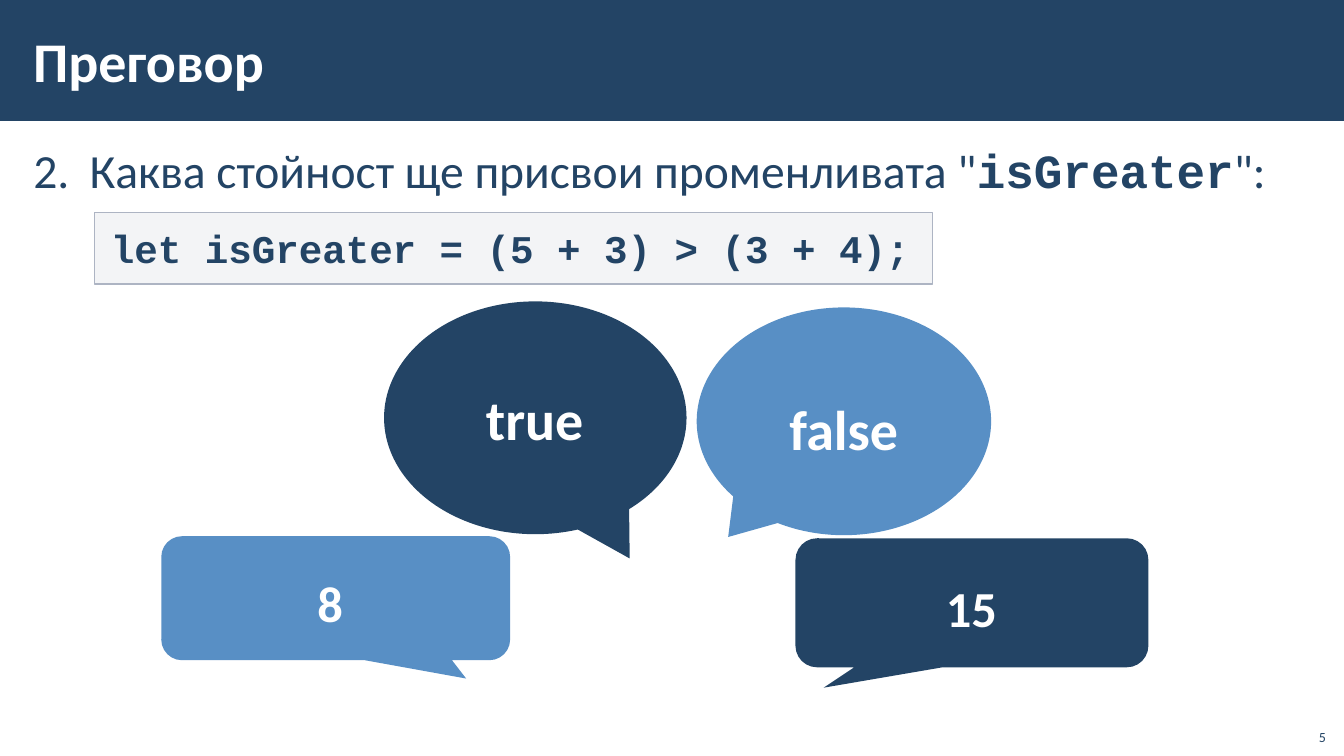
"""Build the review slide with a code question and four answer callouts."""
from lxml.etree import SubElement
from pptx import Presentation
from pptx.dml.color import RGBColor
from pptx.enum.shapes import MSO_SHAPE as SHAPE
from pptx.enum.text import MSO_ANCHOR as ANCHOR, PP_ALIGN as ALIGN
from pptx.oxml.ns import qn
from pptx.util import Inches, Pt

THEME = {
    "navy": "234465", "blue": "588FC5", "white": "FFFFFF",
    "code_fill": "F3F4F6", "code_line": "ADB4C3",
    "sans": "Calibri", "mono": "Courier New",
    "title": 40, "question": 34, "code": 28, "word": 40, "number": 36, "page": 10,
}
TIGHT, ROOMY, PLAIN = (0.12, 0.04), (0.16, 0.12), (0.1, 0.05)
GAPS = {"space_before": Pt(6), "space_after": Pt(6)}

TITLE = "Преговор"
QUESTION = [("Каква стойност ще присвои променливата \"", "sans", False),
            ("isGreater", "mono", True), ("\":", "sans", False)]
START_NUMBER = 2
CODE = "let isGreater = (5 + 3) > (3 + 4);"
PAGE = "5"

ROUND, OVAL = SHAPE.ROUNDED_RECTANGULAR_CALLOUT, SHAPE.OVAL_CALLOUT
CENTRED = {"alignment": ALIGN.CENTER, "line_spacing": 1.1}
ANSWERS = [
    ("8", "number", ROUND, "blue", (1.6, 5.32, 3.46, 1.23), (0.374, 0.648, 0.167),
     (1.95, 5.5, 2.65, 0.87), CENTRED, 0),
    ("true", "word", OVAL, "navy", (3.81, 2.99, 3, 2.31), (0.312, 0.604),
     (4.16, 3.69, 2.3, 0.91), {}, 0.5),
    ("false", "word", OVAL, "blue", (6.91, 3.05, 2.92, 2.26), (-0.393, 0.508),
     (7.67, 3.73, 1.71, 0.94), {"line_spacing": 1.1}, 0),
    ("15", "number", ROUND, "navy", (7.89, 5.34, 3.5, 1.28), (-0.42, 0.658, 0.167),
     (8.14, 5.55, 2.99, 0.87), CENTRED, 0),
]


def color(name):
    return RGBColor.from_string(THEME[name])


def set_all(obj, values):
    for name, value in values.items():
        setattr(obj, name, value)


def add_shape(slide, kind, box, fill, adjustments=(), line=None):
    sp = slide.shapes.add_shape(kind, *map(Inches, box))
    sp.shadow.inherit = False
    sp.fill.solid()
    sp.fill.fore_color.rgb = color(fill)
    if line:
        sp.line.color.rgb = color(line)
        sp.line.width = Pt(1)
    else:
        sp.line.fill.background()
    for i, value in enumerate(adjustments):
        sp.adjustments[i] = value
    return sp


def write(sp, runs, size, ink, insets, anchor=ANCHOR.TOP, indent=(0, 0), **layout):
    x, y = map(Inches, insets)
    tf = sp.text_frame
    set_all(tf, {"word_wrap": True, "vertical_anchor": anchor, "margin_left": x,
                 "margin_right": x, "margin_top": y, "margin_bottom": y})
    p = tf.paragraphs[0]
    set_all(p, {"alignment": ALIGN.LEFT, **layout})
    props = p._p.get_or_add_pPr()
    for name, value in zip(("marL", "indent"), indent):
        props.set(name, str(Inches(value)))
    for text, font, bold in runs:
        r = p.add_run()
        r.text = text
        set_all(r.font, {"name": THEME[font], "size": Pt(THEME[size]), "bold": bold})
        r.font.color.rgb = color(ink)
    return props


def add_text(slide, box, *args, **kwargs):
    return write(slide.shapes.add_textbox(*map(Inches, box)), *args, **kwargs)


def main():
    prs = Presentation()
    set_all(prs, {"slide_width": Inches(13.33), "slide_height": Inches(7.5)})
    slide = prs.slides.add_slide(prs.slide_layouts[6])

    add_shape(slide, SHAPE.RECTANGLE, (0, 0, 13.33, 1.2), "navy")
    add_text(slide, (0.21, 0.11, 10.63, 0.97), [(TITLE, "sans", True)],
             "title", "white", TIGHT, ANCHOR.MIDDLE)

    props = add_text(slide, (0.21, 1.33, 12.91, 5.67), QUESTION, "question", "navy",
                     TIGHT, indent=(0.56, -0.56), line_spacing=1.05, **GAPS)
    SubElement(props, qn("a:buFont"), typeface="+mj-lt")
    SubElement(props, qn("a:buAutoNum"), type="arabicPeriod", startAt=str(START_NUMBER))

    sp = add_shape(slide, SHAPE.RECTANGLE, (0.94, 2.11, 8.31, 0.71),
                   "code_fill", line="code_line")
    write(sp, [(CODE, "mono", True)], "code", "navy", ROOMY, **GAPS)

    for text, size, kind, fill, box, tail, text_box, layout, left in ANSWERS:
        add_shape(slide, kind, box, fill, tail)
        add_text(slide, text_box, [(text, "sans", True)], size, "white", ROOMY,
                 indent=(left, 0), **layout)

    add_text(slide, (12.85, 7.12, 0.4, 0.32), [(PAGE, "sans", False)], "page", "navy",
             PLAIN, ANCHOR.BOTTOM, alignment=ALIGN.RIGHT)
    prs.save("out.pptx")


if __name__ == "__main__":
    main()
